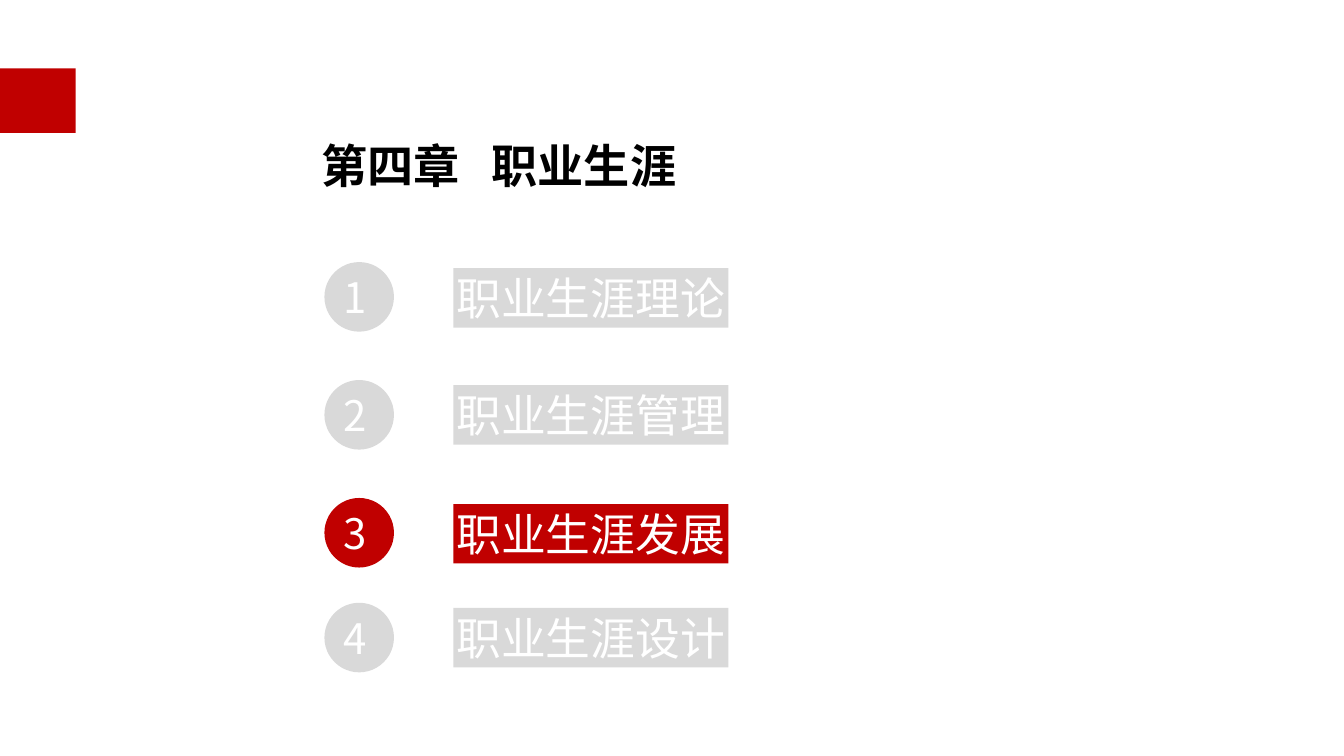
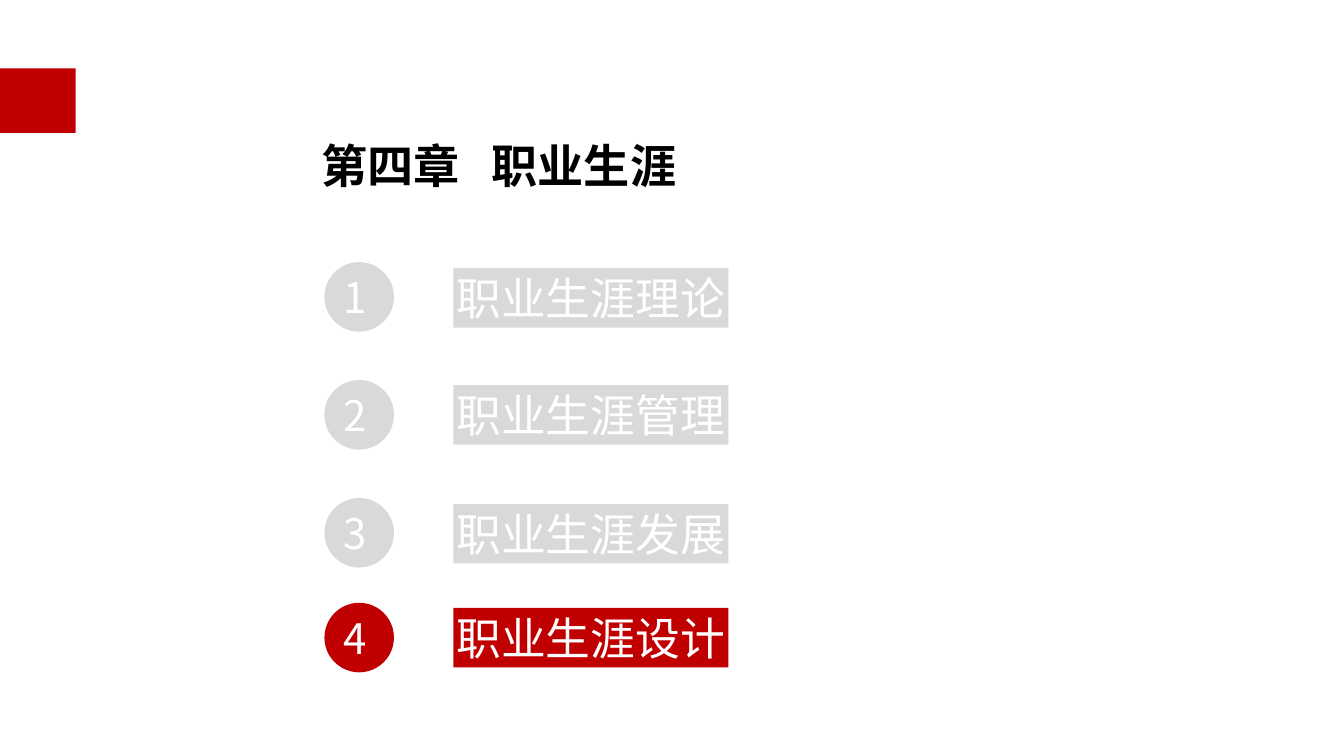
import lxml.etree
import pptx
import pptx.dml.color
import pptx.enum.shapes
import pptx.enum.text
import pptx.oxml.ns
import pptx.util

PX = 9144  # EMU, so 100 px make one inch
FONT = "Noto Sans CJK SC"
COLOURS = {"accent": "C00000", "muted": "D9D9D9", "white": "FFFFFF", "black": "000000"}
TITLE = "第四章\t职业生涯"
SECTIONS = [  # name, top of the circle, top of the bar
    ("职业生涯理论", 260, 266),
    ("职业生涯管理", 377, 382),
    ("职业生涯发展", 494, 500),
    ("职业生涯设计", 598, 603),
]
ACTIVE_SECTIONS = (3, 4)
CIRCLE_LEFT, CIRCLE_SIZE = 322, 69
BAR_LEFT, BAR_WIDTH, BAR_HEIGHT = 450, 273, 59
SHAPE = pptx.enum.shapes.MSO_SHAPE


def px(*lengths):
    return [pptx.util.Emu(length * PX) for length in lengths]


def colour(name):
    return pptx.dml.color.RGBColor.from_string(COLOURS[name])


def add_xml(parent, tag, **attributes):
    return lxml.etree.SubElement(parent, pptx.oxml.ns.qn(tag), attributes)


def write(box, text, size, ink="white", bold=False, insets=(0, 0, 0, 0),
          wrap=True, line_spacing=None, tab=None):
    """Fill a shape with one left-aligned paragraph; insets run left, top, right, bottom."""
    frame = box.text_frame
    frame.auto_size = pptx.enum.text.MSO_AUTO_SIZE.NONE
    frame.word_wrap = wrap
    frame.vertical_anchor = pptx.enum.text.MSO_ANCHOR.MIDDLE
    (frame.margin_left, frame.margin_top,
     frame.margin_right, frame.margin_bottom) = px(*insets)
    para = frame.paragraphs[0]
    para.alignment = pptx.enum.text.PP_ALIGN.LEFT
    if line_spacing:
        para.line_spacing = line_spacing
    span = para.add_run()
    span.text = text
    span.font.size = pptx.util.Pt(size)
    span.font.bold = bold
    span.font.color.rgb = colour(ink)
    span.font.name = FONT
    for properties in box.element.iter(pptx.oxml.ns.qn("a:rPr")):
        add_xml(properties, "a:ea", typeface=FONT)
    if tab:
        for properties in box.element.iter(pptx.oxml.ns.qn("a:pPr")):
            stops = add_xml(properties, "a:tabLst")
            add_xml(stops, "a:tab", pos=str(tab * PX), algn="l")


def add_block(page, kind, place, fill):
    block = page.shapes.add_shape(kind, *px(*place))
    block.shadow.inherit = False
    block.fill.solid()
    block.fill.fore_color.rgb = colour(fill)
    block.line.fill.background()
    return block


def prepare_layout(layout, page):
    """Place the title and move the red marker, drawn on page, to the layout."""
    for holder in list(layout.placeholders):
        if holder.placeholder_format.idx:
            layout.shapes.element.remove(holder.element)
        else:
            holder.left, holder.top, holder.width, holder.height = px(306, 106, 368, 88)
    marker = add_block(page, SHAPE.RECTANGLE, (0, 68, 75, 64), "accent")
    layout.shapes.element.append(marker.element)


def add_section(page, number, section, active):
    name, circle_top, bar_top = section
    fill = "accent" if active else "muted"
    circle = add_block(page, SHAPE.OVAL,
                       (CIRCLE_LEFT, circle_top, CIRCLE_SIZE, CIRCLE_SIZE), fill)
    write(circle, str(number), 30, insets=(9, 0, 0, 0))
    bar = add_block(page, SHAPE.RECTANGLE,
                    (BAR_LEFT, bar_top, BAR_WIDTH, BAR_HEIGHT), fill)
    write(bar, name, 32, insets=(3, 3, 3, 3), wrap=False)


def fill_page(page, active_number):
    write(page.shapes.title, TITLE, 33, ink="black", bold=True,
          insets=(13, 3, 0, 3), line_spacing=1.5, tab=169)
    for number, section in enumerate(SECTIONS, 1):
        add_section(page, number, section, number == active_number)


def main():
    deck = pptx.Presentation()
    deck.slide_width, deck.slide_height = px(1334, 750)
    layout = deck.slide_layouts.get_by_name("Title Only")
    pages = [deck.slides.add_slide(layout) for _ in ACTIVE_SECTIONS]
    prepare_layout(layout, pages[0])
    for page, active_number in zip(pages, ACTIVE_SECTIONS):
        fill_page(page, active_number)
    deck.save("out.pptx")


if __name__ == "__main__":
    main()
